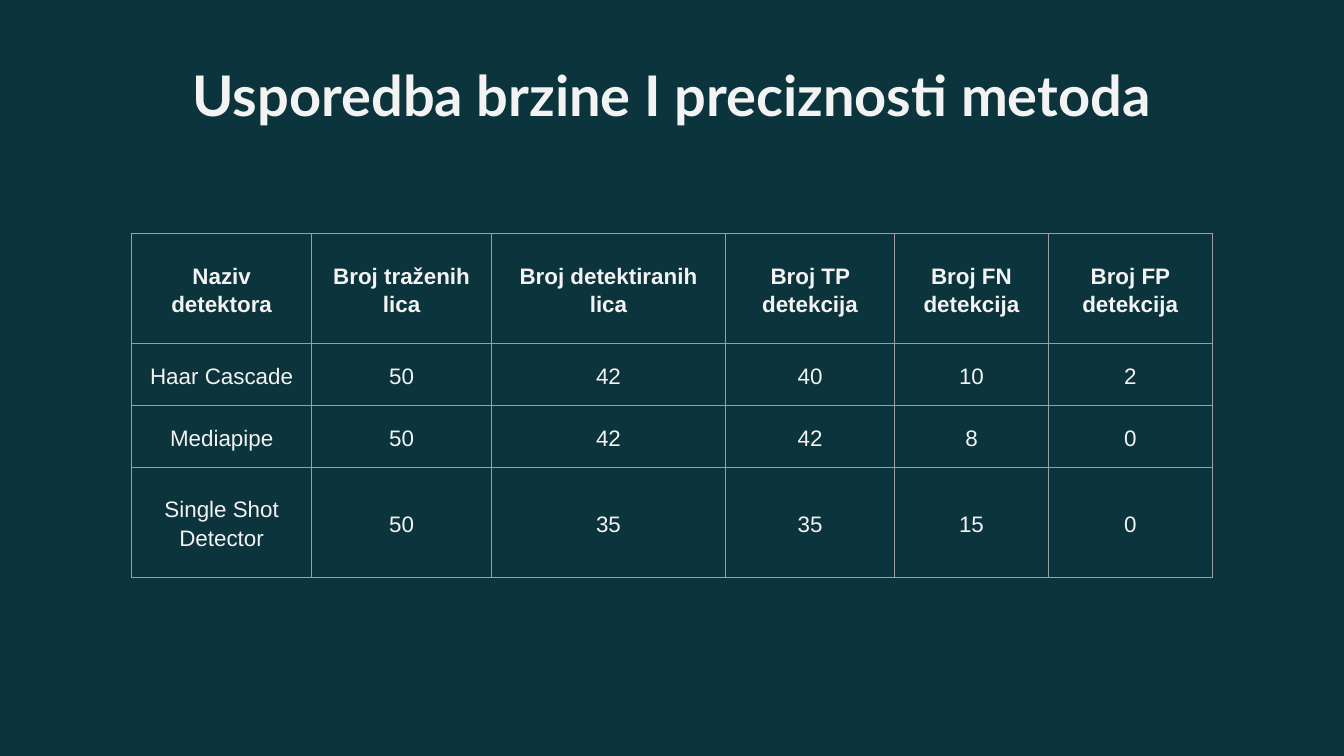
from pptx import Presentation
from pptx.dml.color import RGBColor
from pptx.enum.text import MSO_ANCHOR, MSO_AUTO_SIZE, PP_ALIGN
from pptx.oxml import parse_xml
from pptx.oxml.ns import nsdecls
from pptx.util import Cm, Pt

HEADERS = ["Naziv detektora", "Broj traženih lica", "Broj detektiranih lica",
           "Broj TP detekcija", "Broj FN detekcija", "Broj FP detekcija"]
RESULTS = [
    ["Haar Cascade", 50, 42, 40, 10, 2],
    ["Mediapipe", 50, 42, 42, 8, 0],
    ["Single Shot Detector", 50, 35, 35, 15, 0],
]
COLUMN_WIDTHS = [3.4, 3.4, 4.42, 3.2, 2.9, 3.1]
ROW_HEIGHTS = [2.08, 1.17, 1.17, 2.08]


def color(hex_string):
    return RGBColor.from_string(hex_string)


class SlideBuilder:
    background = "0C343D"
    text_color = "F3F3F3"
    border_color = "9E9E9E"
    title_font = "Lato"
    body_font = "Arial"

    def __init__(self, presentation):
        self.slide = presentation.slides.add_slide(presentation.slide_layouts[5])
        fill = self.slide.background.fill
        fill.solid()
        fill.fore_color.rgb = color(self.background)

    def format_text(self, paragraph, font_name, size, bold):
        paragraph.alignment = PP_ALIGN.CENTER
        for run in paragraph.runs:
            run.font.name = font_name
            run.font.size = Pt(size)
            run.font.bold = bold
            run.font.color.rgb = color(self.text_color)

    def title(self, text, left, top, width, height):
        shape = self.slide.shapes.title
        shape.left, shape.top = Cm(left), Cm(top)
        shape.width, shape.height = Cm(width), Cm(height)
        frame = shape.text_frame
        frame.text = text
        frame.word_wrap = True
        frame.auto_size = MSO_AUTO_SIZE.NONE
        frame.vertical_anchor = MSO_ANCHOR.TOP
        frame.margin_left = frame.margin_right = Cm(0.25)
        frame.margin_top = frame.margin_bottom = Cm(0.25)
        self.format_text(frame.paragraphs[0], self.title_font, 30, True)

    def table(self, rows, left, top, column_widths, row_heights):
        table = self.slide.shapes.add_table(
            len(rows), len(column_widths), Cm(left), Cm(top),
            Cm(sum(column_widths)), Cm(sum(row_heights))).table
        table.horz_banding = False
        for column, width in zip(table.columns, column_widths):
            column.width = Cm(width)
        for row, height in zip(table.rows, row_heights):
            row.height = Cm(height)
        for row_index, values in enumerate(rows):
            for column_index, value in enumerate(values):
                self.cell(table.cell(row_index, column_index), str(value),
                          bold=row_index == 0)

    def cell(self, cell, text, bold):
        cell.fill.background()
        cell.vertical_anchor = MSO_ANCHOR.MIDDLE
        cell.margin_left = cell.margin_right = Cm(0.18)
        cell.margin_top = cell.margin_bottom = Cm(0.1)
        cell.text_frame.text = text
        paragraph = cell.text_frame.paragraphs[0]
        paragraph.line_spacing = 1.15
        paragraph.space_after = Pt(6)
        self.format_text(paragraph, self.body_font, 12, bold)
        # Borders come before the fill in the cell properties
        properties = cell._tc.get_or_add_tcPr()
        for index, side in enumerate("LRTB"):
            properties.insert(index, parse_xml(
                f'<a:ln{side} {nsdecls("a")} w="{Pt(0.75)}"><a:solidFill>'
                f'<a:srgbClr val="{self.border_color}"/></a:solidFill></a:ln{side}>'))


def main():
    presentation = Presentation()
    presentation.slide_width = Cm(25.4)
    presentation.slide_height = Cm(14.29)
    builder = SlideBuilder(presentation)

    # Comparison table
    builder.table([HEADERS] + RESULTS, 2.49, 4.42, COLUMN_WIDTHS, ROW_HEIGHTS)

    # Title
    builder.title("Usporedba brzine I preciznosti metoda", 2, 0.9, 21.4, 1.6)

    presentation.save("out.pptx")


if __name__ == "__main__":
    main()
